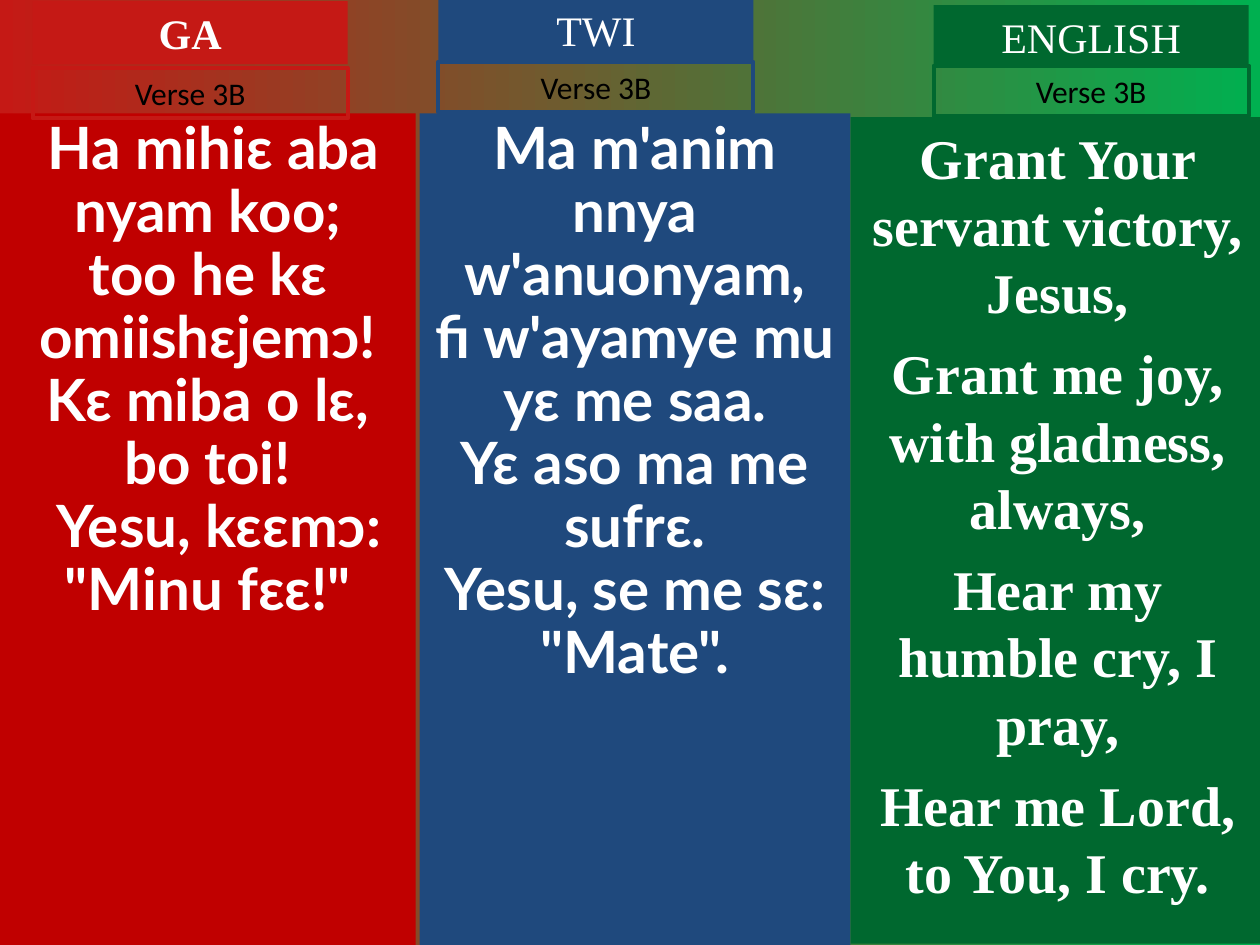
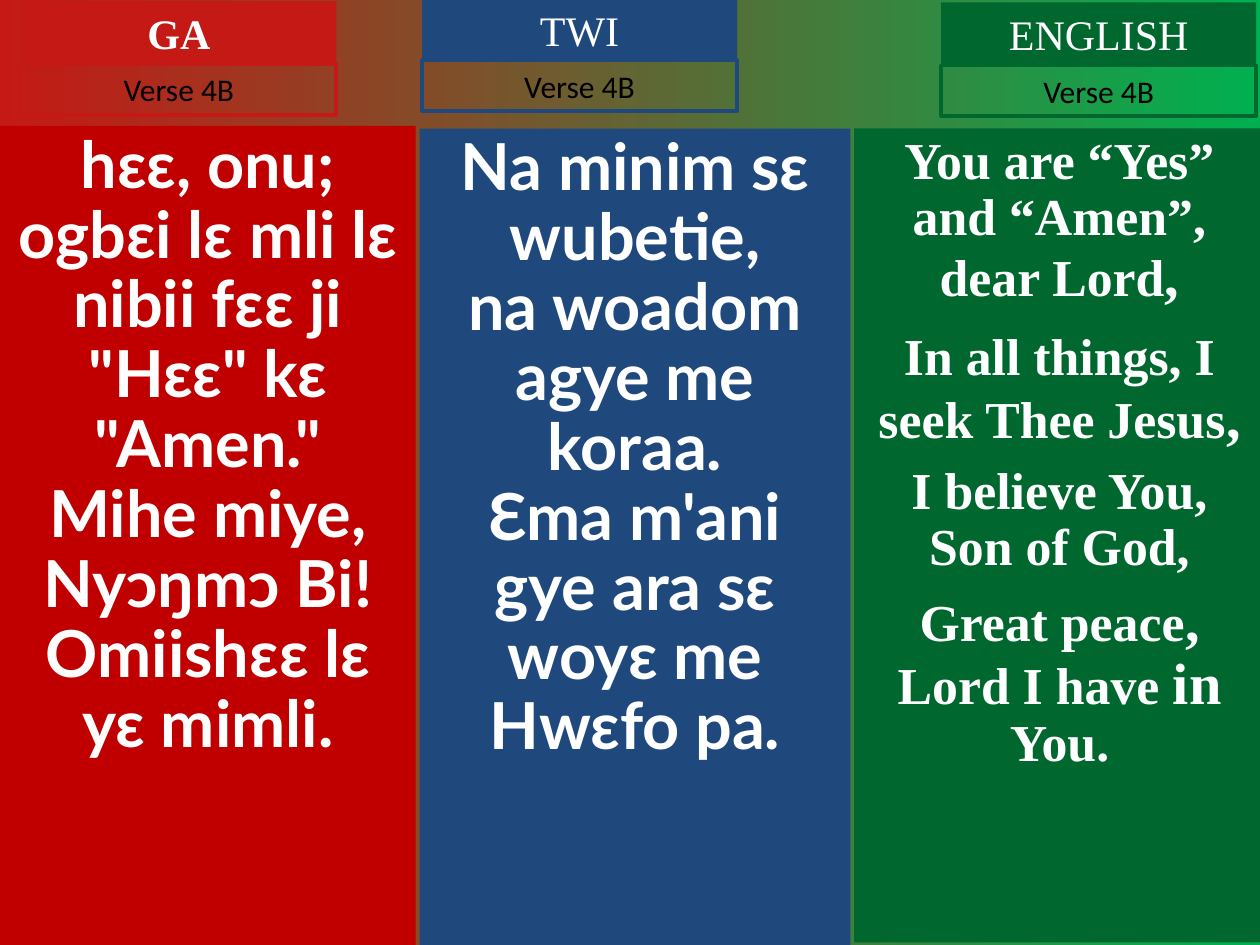
from dataclasses import dataclass

from pptx import Presentation
from pptx.dml.color import RGBColor as Rgb
from pptx.enum.shapes import MSO_SHAPE as Shape
from pptx.enum.text import MSO_ANCHOR as Anchor, PP_ALIGN as Align
from pptx.util import Inches, Pt


@dataclass(frozen=True)
class Theme:
    scarlet: str = "C51915"
    red: str = "C00000"
    blue: str = "1F497D"
    green: str = "00682F"
    bright_green: str = "00B050"
    white: str = "FFFFFF"
    black: str = "000000"
    lato: str = "Lato"
    serif: str = "Times New Roman"
    sans: str = "Calibri"
    heading_size: float = 24
    verse_size: float = 18
    accent_size: float = 33.3
    outline: float = 2.25


THEME = Theme()


@dataclass(frozen=True)
class Line:
    """A lyric line; its phrases alternate between normal and accent size."""
    phrases: tuple
    before: float = 0
    indent: float = 0


def line(*phrases, before=0, indent=0):
    return Line(phrases, before, indent)


def write(frame, lines, *, font, size, color, bold=False, spacing=None):
    """Fill a text frame with centred paragraphs."""
    frame.word_wrap = True
    frame.vertical_anchor = Anchor.TOP
    for i, lyric in enumerate(lines):
        paragraph = frame.paragraphs[0] if i == 0 else frame.add_paragraph()
        paragraph.alignment = Align.CENTER
        if spacing:
            paragraph.line_spacing = spacing
        if lyric.before:
            paragraph.space_before = Pt(lyric.before)
        if lyric.indent:
            paragraph._p.get_or_add_pPr().set("indent", str(Pt(lyric.indent)))
        for j, phrase in enumerate(lyric.phrases):
            run = paragraph.add_run()
            run.text = phrase
            run.font.name = font
            run.font.size = Pt(THEME.accent_size if j % 2 else size)
            run.font.bold = bold
            run.font.color.rgb = Rgb.from_string(color)


class HymnDeck:
    def __init__(self, theme):
        self.theme = theme
        self.prs = Presentation()
        self.prs.slide_width, self.prs.slide_height = Inches(10), Inches(7.5)
        self.slide = None

    def new_slide(self):
        self.slide = self.prs.slides.add_slide(self.prs.slide_layouts[6])
        fill = self.slide.background.fill
        fill.gradient()
        fill.gradient_angle = 0
        ends = (self.theme.scarlet, self.theme.bright_green)
        for stop, color in zip(fill.gradient_stops, ends):
            stop.color.rgb = Rgb.from_string(color)

    def box(self, place, fill=None, outline=None):
        shape = self.slide.shapes.add_shape(
            Shape.RECTANGLE, *(Inches(v) for v in place))
        shape.shadow.inherit = False
        if fill:
            shape.fill.solid()
            shape.fill.fore_color.rgb = Rgb.from_string(fill)
        else:
            shape.fill.background()
        if outline:
            shape.line.color.rgb = Rgb.from_string(outline)
            shape.line.width = Pt(self.theme.outline)
        else:
            shape.line.fill.background()
        return shape.text_frame

    def lyrics(self, place, color, lines, **style):
        write(self.box(place, fill=color), lines,
              color=self.theme.white, bold=True, **style)

    def heading(self, left, top, language, color, bold):
        write(self.box((left, top, 2.5, 0.5), fill=color), [line(language)],
              font=self.theme.serif, size=self.theme.heading_size,
              color=self.theme.white, bold=bold)

    def verse_label(self, left, top, verse, color):
        write(self.box((left, top, 2.5, 0.4), outline=color),
              [line(f"Verse {verse}")], font=self.theme.sans,
              size=self.theme.verse_size, color=self.theme.black)


# Language, panel colour, heading colour, heading weight, lyric font
LANGUAGES = (
    ("GA", THEME.red, THEME.scarlet, True, THEME.lato),
    ("TWI", THEME.blue, THEME.blue, False, THEME.lato),
    ("ENGLISH", THEME.green, THEME.green, False, THEME.serif),
)

# Per column: panel place, heading left and top, label top, size, spacing, lines
VERSES = {
    "3B": (
        ((0, 0.9, 3.3, 6.6), 0.26, 0.01, 0.54, 33.3, 0.9, (
            line("Ha mihiɛ aba nyam koo;", indent=6.5),
            line("too he kɛ omiishɛjemɔ!"),
            line("Kɛ miba o lɛ, bo toi!"),
            line('Yesu, kɛɛmɔ: "Minu fɛɛ!"', indent=13))),
        ((3.33, 0.9, 3.42, 6.6), 3.48, -0.01, 0.49, 33.3, 0.9, (
            line("Ma m'anim nnya w'anuonyam,"),
            line("fi w'ayamye mu yɛ me saa."),
            line("Yɛ aso ma me sufrɛ."),
            line('Yesu, se me sɛ: "Mate".'))),
        ((6.75, 0.93, 3.29, 6.56), 7.41, 0.04, 0.52, 32, None, (
            line("Grant Your servant victory, Jesus,"),
            line("Grant me joy, with gladness, always,", before=8),
            line("Hear my humble cry, I pray,", before=8),
            line("Hear me Lord, to You, I cry.", before=8))),
    ),
    "4B": (
        ((0, 1, 3.3, 6.5), 0.17, 0.01, 0.51, 37, 0.9, (
            line('hɛɛ, onu; ogbɛi lɛ mli lɛ nibii fɛɛ ji "Hɛɛ" kɛ "Amen."'),
            line("Mihe miye, Nyɔŋmɔ Bi!"),
            line("Omiishɛɛ lɛ yɛ mimli."))),
        ((3.33, 1.02, 3.42, 6.48), 3.35, -0.01, 0.48, 37, 0.9, (
            line("Na minim sɛ wubetie,"),
            line("na woadom agye me koraa."),
            line("Ɛma m'ani gye ara sɛ woyɛ me Hwɛfo pa."))),
        ((6.78, 1.02, 3.26, 6.46), 7.47, 0.02, 0.52, 29.6, 0.9, (
            line("You are “Yes” and “Amen”, dear Lord", ","),
            line("In all things, I", " ", "seek Thee Jesus", ",", before=9),
            line("I believe You, Son of God,", before=8),
            line("Great peace", ", ", "Lord I have ", "in ", "You.",
                 before=8))),
    ),
}


def main():
    deck = HymnDeck(THEME)
    for verse, columns in VERSES.items():
        deck.new_slide()
        for language, column in zip(LANGUAGES, columns):
            name, panel_color, head_color, bold, font = language
            place, left, head_top, label_top, size, spacing, lines = column
            # Lyrics panel, then its heading and verse label
            deck.lyrics(place, panel_color, lines,
                        font=font, size=size, spacing=spacing)
            deck.heading(left, head_top, name, head_color, bold)
            deck.verse_label(left, label_top, verse, head_color)
    deck.prs.save("out.pptx")


if __name__ == "__main__":
    main()
